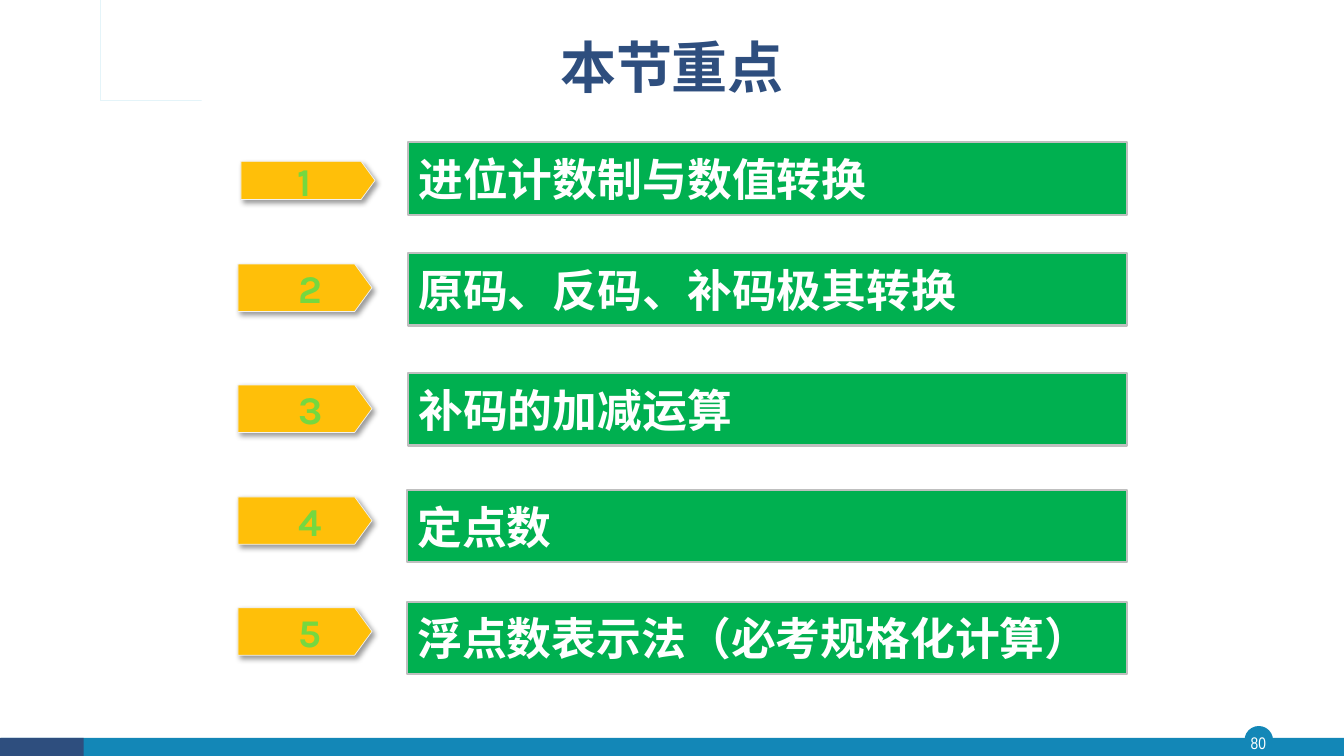
from dataclasses import dataclass

from lxml import etree
from pptx import Presentation
from pptx import util as u
from pptx.dml.color import RGBColor
from pptx.enum import shapes, text
from pptx.oxml import ns

Box = tuple[float, float, float, float]
KIND = shapes.MSO_SHAPE
ALIGN = text.PP_ALIGN


@dataclass(frozen=True)
class Theme:
    navy: str = "2E4E7E"
    blue: str = "1387B7"
    sky: str = "28A9D6"
    gold: str = "FFBF09"
    green: str = "00B050"
    lime: str = "75D840"
    white: str = "FFFFFF"
    pale: str = "F2F2F2"
    gray: str = "BFBFBF"
    black: str = "000000"
    cjk: str = "Noto Sans CJK SC"
    digit: str = "Karla"
    narrow: str = "Arial Narrow"
    head: int = 40
    body: int = 32
    mark: int = 28
    small: int = 12


@dataclass(frozen=True)
class Style:
    font: str
    size: int
    color: str
    bold: bool = True
    align: ALIGN = ALIGN.CENTER


@dataclass(frozen=True)
class Topic:
    words: str
    bar: Box
    tag: Box
    inset: float = 0.19


T = Theme()
HEAD = Style(T.cjk, T.head, T.navy)
BODY = Style(T.cjk, T.body, T.white, align=ALIGN.LEFT)
MARK = Style(T.digit, T.mark, T.lime)
PAGE = Style(T.narrow, T.small, T.white, bold=False)

TOPICS = [
    Topic("进位计数制与数值转换", (4.05, 1.41, 7.13, 0.72), (2.39, 1.6, 1.33, 0.38), 0),
    Topic("原码、反码、补码极其转换", (4.05, 2.51, 7.13, 0.72), (2.36, 2.62, 1.33, 0.47)),
    Topic("补码的加减运算", (4.05, 3.7, 7.13, 0.72), (2.36, 3.82, 1.33, 0.47)),
    Topic("定点数", (4.04, 4.86, 7.14, 0.72), (2.36, 4.93, 1.33, 0.47)),
    Topic("浮点数表示法（必考规格化计算）", (4.04, 5.97, 7.14, 0.72), (2.36, 6.03, 1.33, 0.47)),
]

CORNER = [
    (0.54, 0.39), (0.54, 0.85), (1.87, 0.85), (1.87, 0.87), (0.52, 0.87),
    (0.52, 0.41), (0.47, 0.41), (0.47, 0.87), (0.36, 0.87), (0.36, 0.39),
    (0.39, 0.39), (0.39, 0.84), (0.44, 0.84), (0.44, 0.39),
]


def paint(shape, fill: str, line: str = "", width: float = 1) -> None:
    shape.shadow.inherit = False
    shape.fill.solid()
    shape.fill.fore_color.rgb = RGBColor.from_string(fill)
    if line:
        shape.line.color.rgb = RGBColor.from_string(line)
        shape.line.width = u.Pt(width)
    else:
        shape.line.fill.background()


def draw(slide, kind: KIND, box: Box, fill: str, line: str = "", width: float = 1):
    shape = slide.shapes.add_shape(kind, *map(u.Inches, box))
    paint(shape, fill, line, width)
    return shape


def write(shape, words: str, style: Style, pad: Box = (0.1, 0.05, 0.1, 0.05)):
    """Fill the shape with one run; pad is left, top, right, bottom."""
    frame = shape.text_frame
    frame.word_wrap = True
    frame.vertical_anchor = text.MSO_ANCHOR.MIDDLE
    (frame.margin_left, frame.margin_top,
     frame.margin_right, frame.margin_bottom) = map(u.Inches, pad)
    para = frame.paragraphs[0]
    para.alignment = style.align
    run = para.add_run()
    run.text = words
    font = run.font
    font.name, font.size, font.bold = style.font, u.Pt(style.size), style.bold
    font.color.rgb = RGBColor.from_string(style.color)
    east = etree.SubElement(run._r.get_or_add_rPr(), ns.qn("a:ea"))
    east.set("typeface", style.font)
    return para


def shade(shape) -> None:
    """Cast a soft shadow down and to the right."""
    effects = shape.element.spPr.find(ns.qn("a:effectLst"))
    cast = etree.SubElement(effects, ns.qn("a:outerShdw"), blurRad=str(u.Pt(4)),
                            dist=str(u.Pt(3)), dir="2700000", algn="tl", rotWithShape="0")
    tint = etree.SubElement(cast, ns.qn("a:srgbClr"), val=T.black)
    etree.SubElement(tint, ns.qn("a:alpha"), val="40000")


def frame(slide) -> None:
    """Draw the footer, page number and corner ornament."""
    draw(slide, KIND.OVAL, (12.35, 7.21, 0.27, 0.27), T.blue, T.blue)
    draw(slide, KIND.RECTANGLE, (0.01, 7.32, 13.32, 0.19), T.blue)
    draw(slide, KIND.RECTANGLE, (0, 7.32, 0.83, 0.19), T.navy)
    page = slide.shapes.add_textbox(*map(u.Inches, (12.32, 7.21, 0.32, 0.31)))
    write(page, "80", PAGE, (0, 0, 0, 0))
    pen = slide.shapes.build_freeform(*CORNER[0], scale=u.Inches(1))
    pen.add_line_segments(CORNER[1:], close=True)
    paint(pen.convert_to_shape(), T.sky)


def list_topic(slide, rank: int, topic: Topic) -> None:
    tag = draw(slide, KIND.PENTAGON, topic.tag, T.gold, T.pale, 0.5)
    tag.adjustments[0] = 0.365
    shade(tag)
    write(tag, str(rank), MARK, (topic.inset, 0, 0, 0))
    bar = draw(slide, KIND.RECTANGLE, topic.bar, T.green, T.gray, 1.5)
    write(bar, topic.words, BODY)


def main() -> None:
    deck = Presentation()
    deck.slide_width, deck.slide_height = u.Inches(13.33), u.Inches(7.5)
    slide = deck.slides.add_slide(deck.slide_layouts[6])
    frame(slide)
    title = slide.shapes.add_textbox(*map(u.Inches, (3.1, 0.14, 7.13, 1.12)))
    write(title, "本节重点", HEAD).line_spacing = 0.9
    for rank, topic in enumerate(TOPICS, 1):
        list_topic(slide, rank, topic)
    deck.save("out.pptx")


if __name__ == "__main__":
    main()
